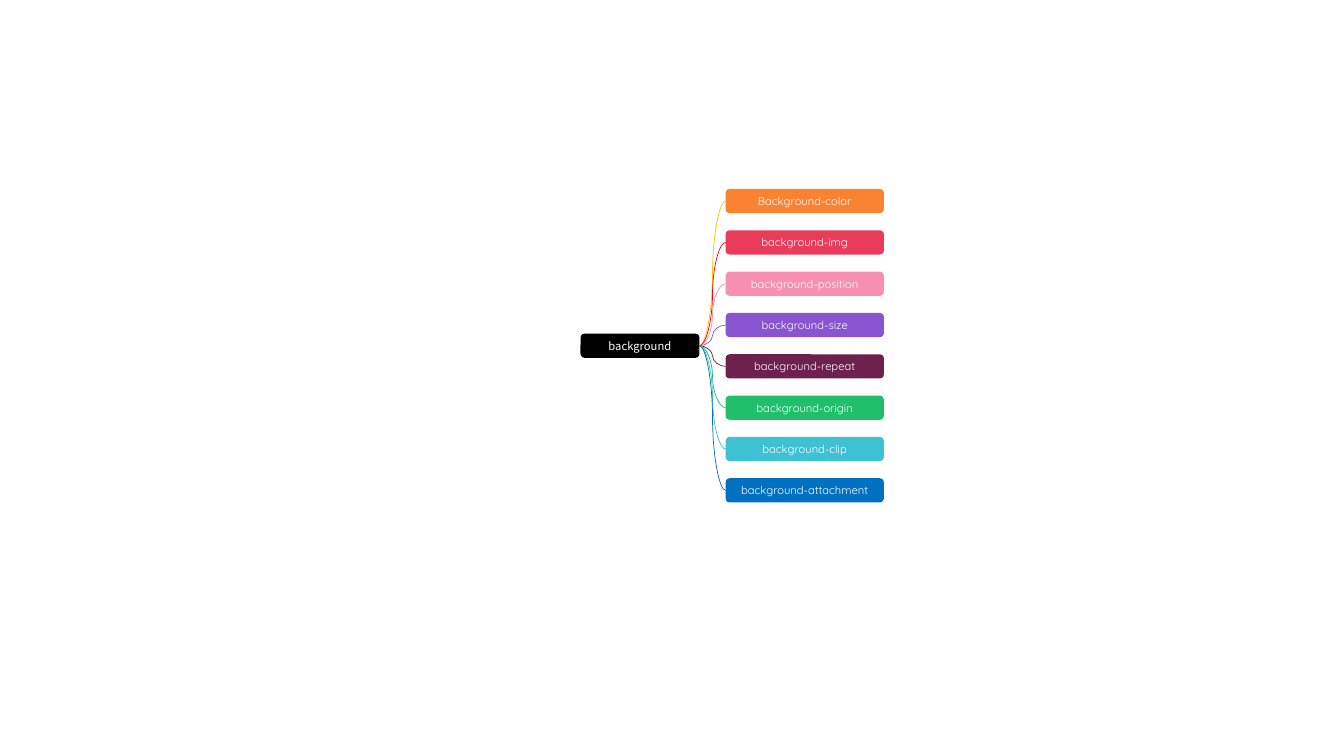
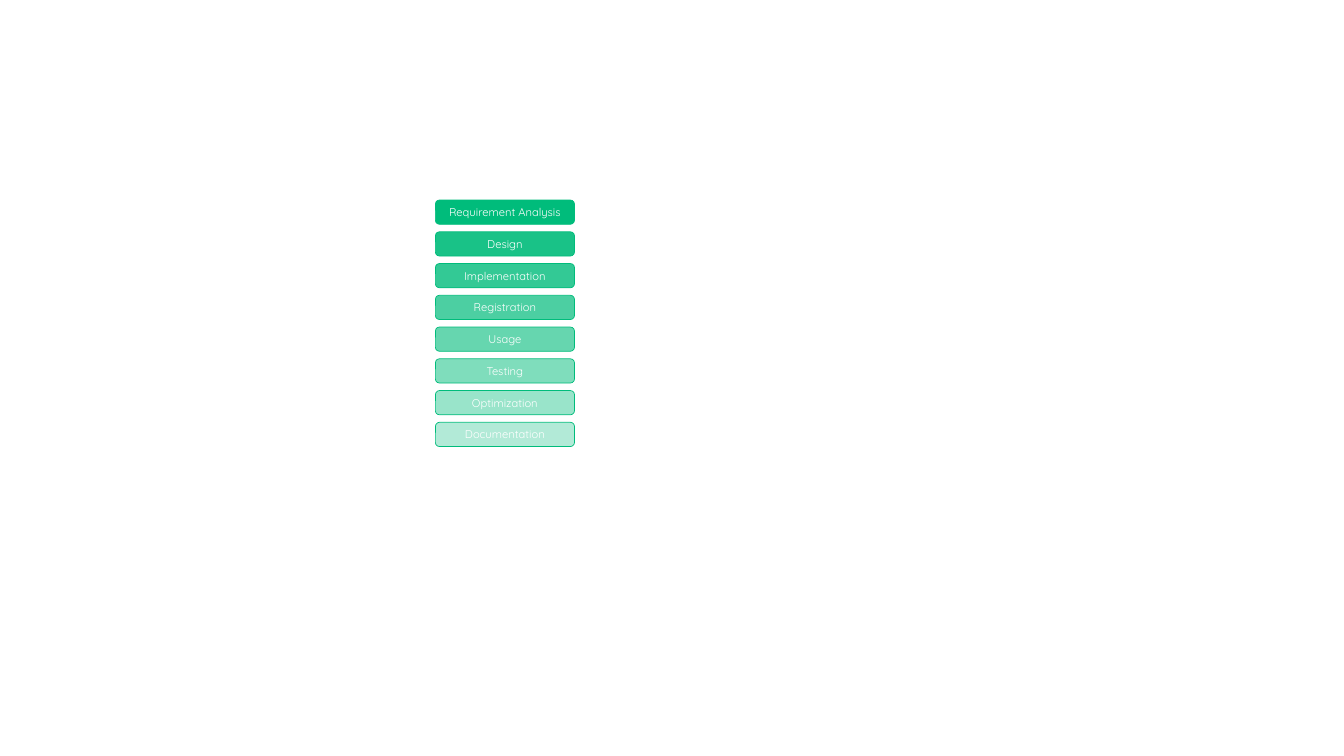
"""Build two slides: a mind map of CSS background properties and a fading list of project steps."""
from lxml.etree import SubElement
from pptx import Presentation
from pptx.dml.color import RGBColor
from pptx.enum.shapes import MSO_CONNECTOR as Connector, MSO_SHAPE as Shape
from pptx.enum.text import MSO_ANCHOR as Anchor, PP_ALIGN as Align
from pptx.oxml.ns import qn
from pptx.util import Emu, Pt

EMU_PER_PX = 4572
SLIDE_WIDTH, SLIDE_HEIGHT = 2667, 1500
BOX_HEIGHT = 48
RIGHT, LEFT = 3, 1

WHITE = RGBColor(0xFF, 0xFF, 0xFF)
BLACK = RGBColor(0x00, 0x00, 0x00)
ORANGE = RGBColor(0xFA, 0x82, 0x31)
AMBER = RGBColor(0xFF, 0xC0, 0x00)
CRIMSON = RGBColor(0xEB, 0x3B, 0x5A)
RED = RGBColor(0xFF, 0x00, 0x00)
PINK = RGBColor(0xF7, 0x8F, 0xB3)
VIOLET = RGBColor(0x88, 0x54, 0xD0)
PLUM = RGBColor(0x6D, 0x21, 0x4F)
GREEN = RGBColor(0x20, 0xBF, 0x6B)
TURQUOISE = RGBColor(0x3D, 0xC1, 0xD3)
BLUE = RGBColor(0x00, 0x70, 0xC0)
EMERALD = RGBColor(0x00, 0xBC, 0x7B)

BRANCHES = [
    ("Background-color", ORANGE, AMBER),
    ("background-img", CRIMSON, RED),
    ("background-position", PINK, PINK),
    ("background-size", VIOLET, VIOLET),
    ("background-repeat", PLUM, PLUM),
    ("background-origin", GREEN, GREEN),
    ("background-clip", TURQUOISE, TURQUOISE),
    ("background-attachment", BLUE, BLUE),
]
STEPS = [
    "Requirement Analysis", "Design", "Implementation", "Registration",
    "Usage", "Testing", "Optimization", "Documentation",
]


def px(length):
    return Emu(length * EMU_PER_PX)


class Deck:
    font = "Quicksand"
    root_font = "Noto Sans CJK SC"
    text_size = Pt(8)
    line_width = Pt(0.5)

    def __init__(self):
        self.presentation = Presentation()
        self.presentation.slide_width = px(SLIDE_WIDTH)
        self.presentation.slide_height = px(SLIDE_HEIGHT)
        self.slide = None

    def new_slide(self):
        blank = self.presentation.slide_layouts[6]
        self.slide = self.presentation.slides.add_slide(blank)

    def box(self, text, left, top, width, fill, outline=None, opacity=100, font=None):
        shape = self.slide.shapes.add_shape(
            Shape.ROUNDED_RECTANGLE, px(left), px(top), px(width), px(BOX_HEIGHT))
        shape.shadow.inherit = False
        shape.fill.solid()
        shape.fill.fore_color.rgb = fill
        if opacity < 100:
            color = shape.element.spPr.find(qn("a:solidFill")).find(qn("a:srgbClr"))
            SubElement(color, qn("a:alpha")).set("val", str(opacity * 1000))
        if outline is None:
            shape.line.fill.background()
        else:
            shape.line.color.rgb = outline
            shape.line.width = self.line_width
        shape.text_frame.vertical_anchor = Anchor.MIDDLE
        paragraph = shape.text_frame.paragraphs[0]
        paragraph.alignment = Align.CENTER
        run = paragraph.add_run()
        run.text = text
        run.font.name = font or self.font
        run.font.size = self.text_size
        run.font.color.rgb = WHITE
        return shape

    def curve(self, start, end, color):
        connector = self.slide.shapes.add_connector(Connector.CURVE, 0, 0, 0, 0)
        connector.begin_connect(start, RIGHT)
        connector.end_connect(end, LEFT)
        connector.line.color.rgb = color
        connector.line.width = self.line_width
        SubElement(connector.element.spPr, qn("a:effectLst"))

    def save(self):
        self.presentation.save("out.pptx")


def add_mind_map(deck):
    deck.new_slide()
    root = deck.box("background", 1152, 662, 236, BLACK, font=deck.root_font)
    for index, (name, fill, line) in enumerate(BRANCHES):
        branch = deck.box(name, 1440, 375 + 82 * index, 314, fill)
        deck.curve(root, branch, line)


def add_steps(deck):
    deck.new_slide()
    for index, step in enumerate(STEPS):
        deck.box(step, 864, 397 + 63 * index, 276, EMERALD,
                 outline=EMERALD, opacity=100 - 10 * index)


def main():
    deck = Deck()
    add_mind_map(deck)
    add_steps(deck)
    deck.save()


if __name__ == "__main__":
    main()
